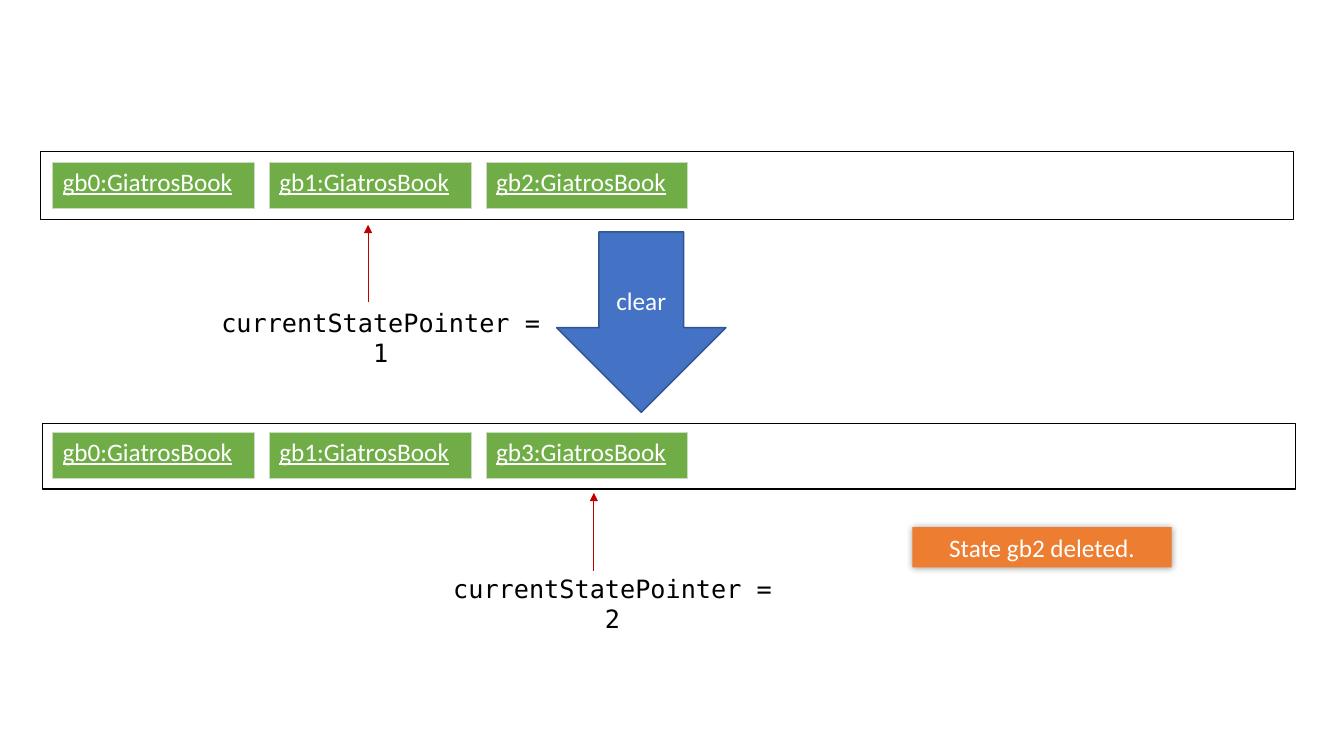
"""Build the slide that shows how clear changes the list of saved states."""
import pptx
import pptx.dml.color
import pptx.enum.shapes
import pptx.enum.text
import pptx.oxml
import pptx.oxml.ns
import pptx.util
from pptx.util import Inches

RGBColor = pptx.dml.color.RGBColor
Shape = pptx.enum.shapes.MSO_SHAPE
BLACK = RGBColor(0x00, 0x00, 0x00)
WHITE = RGBColor(0xFF, 0xFF, 0xFF)
BLUE = RGBColor(0x44, 0x72, 0xC4)
DARK_BLUE = RGBColor(0x32, 0x54, 0x91)
ORANGE = RGBColor(0xED, 0x7D, 0x31)
GREEN = RGBColor(0x70, 0xAD, 0x47)
PALE_GREEN = RGBColor(0xC9, 0xDB, 0xC1)
RED = RGBColor(0xC0, 0x00, 0x00)
TEXT_FONT = "Calibri"
CODE_FONT = "DejaVu Sans Mono"
STATE_LEFT = 0.52
STATE_WIDTH = 2
STATE_HEIGHT = 0.46
STATE_PITCH = 2.15


def drawing_xml(tag, attributes="", content=""):
    """Return a DrawingML element."""
    namespace = pptx.oxml.ns.nsdecls("a")
    return pptx.oxml.parse_xml(f"<a:{tag} {namespace} {attributes}>{content}</a:{tag}>")


def write_text(text_frame, text, color, font_name=TEXT_FONT, centered=True):
    """Write one formatted paragraph and return it."""
    text_frame.word_wrap = True
    paragraph = text_frame.paragraphs[0]
    paragraph.text = text
    if centered:
        paragraph.alignment = pptx.enum.text.PP_ALIGN.CENTER
    paragraph.font.size = pptx.util.Pt(18)
    paragraph.font.name = font_name
    paragraph.font.color.rgb = color
    return paragraph


def add_box(slide, kind, left, top, width, height, fill=None, line=None):
    """Add a preset shape with an optional fill and outline."""
    shape = slide.shapes.add_shape(
        kind, Inches(left), Inches(top), Inches(width), Inches(height))
    shape.shadow.inherit = False
    if fill is None:
        shape.fill.background()
    else:
        shape.fill.solid()
        shape.fill.fore_color.rgb = fill
    if line is None:
        shape.line.fill.background()
    else:
        shape.line.color.rgb = line
        shape.line.width = pptx.util.Pt(1)
    return shape


def add_glow_shadow(shape):
    """Give a shape a soft shadow on all sides."""
    effects = shape.element.spPr.find(pptx.oxml.ns.qn("a:effectLst"))
    effects.append(drawing_xml(
        "outerShdw", f'blurRad="{pptx.util.Pt(5)}" dist="0" dir="0" algn="ctr" rotWithShape="0"',
        '<a:srgbClr val="000000"><a:alpha val="40000"/></a:srgbClr>'))


def add_state(slide, left, top, name):
    """Add a state as a one-cell table."""
    table = slide.shapes.add_table(
        1, 1, Inches(left), Inches(top), Inches(STATE_WIDTH), Inches(STATE_HEIGHT)).table
    cell = table.cell(0, 0)
    cell.fill.solid()
    cell.fill.fore_color.rgb = GREEN
    paragraph = write_text(cell.text_frame, f"{name}:GiatrosBook", WHITE, centered=False)
    paragraph.font.underline = True
    paragraph.runs[0].font.underline = True
    properties = cell._tc.get_or_add_tcPr()
    for index, side in enumerate(("lnL", "lnR", "lnT", "lnB")):
        properties.insert(index, drawing_xml(
            side, f'w="{pptx.util.Pt(0.5)}"',
            f'<a:solidFill><a:srgbClr val="{PALE_GREEN}"/></a:solidFill>'))


def add_state_list(slide, left, top, height, state_top, names):
    """Add a frame with its row of states."""
    add_box(slide, Shape.RECTANGLE, left, top, 12.43, height, line=BLACK)
    for index, name in enumerate(names):
        add_state(slide, STATE_LEFT + index * STATE_PITCH, state_top, name)


def add_pointer(slide, value, label_left, label_top, arrow_x, arrow_start):
    """Add a pointer label and the arrow that rises from it."""
    label = slide.shapes.add_textbox(
        Inches(label_left), Inches(label_top), Inches(3.51), Inches(0.4))
    write_text(label.text_frame, f"currentStatePointer = {value}", BLACK, CODE_FONT)
    arrow = slide.shapes.add_connector(
        pptx.enum.shapes.MSO_CONNECTOR.STRAIGHT, Inches(arrow_x), Inches(arrow_start),
        Inches(arrow_x), Inches(arrow_start - 0.77))
    arrow.line.color.rgb = RED
    arrow.line.width = pptx.util.Pt(0.5)
    arrow.line._get_or_add_ln().append(drawing_xml("tailEnd", 'type="triangle"'))
    arrow.element.spPr.append(drawing_xml("effectLst"))


def main():
    """Build and save the slide."""
    presentation = pptx.Presentation()
    presentation.slide_width = Inches(13.33)
    presentation.slide_height = Inches(7.5)
    slide = presentation.slides.add_slide(presentation.slide_layouts[6])

    clear_arrow = add_box(slide, Shape.DOWN_ARROW, 5.52, 2.3, 1.68, 1.79, BLUE, DARK_BLUE)
    write_text(clear_arrow.text_frame, "clear", WHITE)
    notice = add_box(slide, Shape.RECTANGLE, 9.05, 5.23, 2.57, 0.4, ORANGE)
    write_text(notice.text_frame, "State gb2 deleted.", WHITE)
    add_glow_shadow(notice)

    add_state_list(slide, 0.4, 1.5, 0.68, 1.61, ("gb0", "gb1", "gb2"))
    add_state_list(slide, 0.42, 4.2, 0.65, 4.29, ("gb0", "gb1", "gb3"))
    add_pointer(slide, 1, 2.02, 3, 3.65, 3)
    add_pointer(slide, 2, 4.32, 5.64, 5.89, 5.66)
    presentation.save("out.pptx")


if __name__ == "__main__":
    main()
